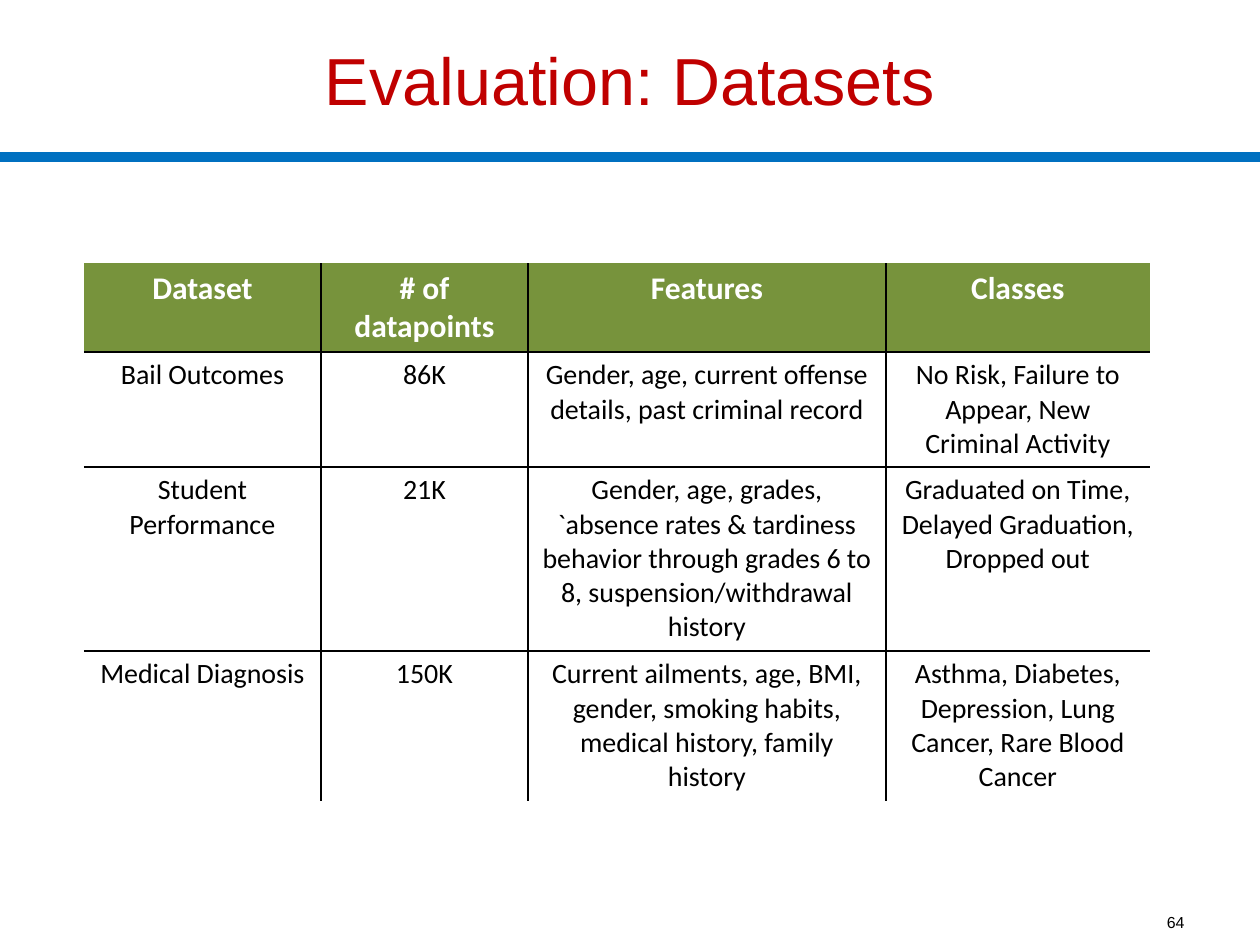
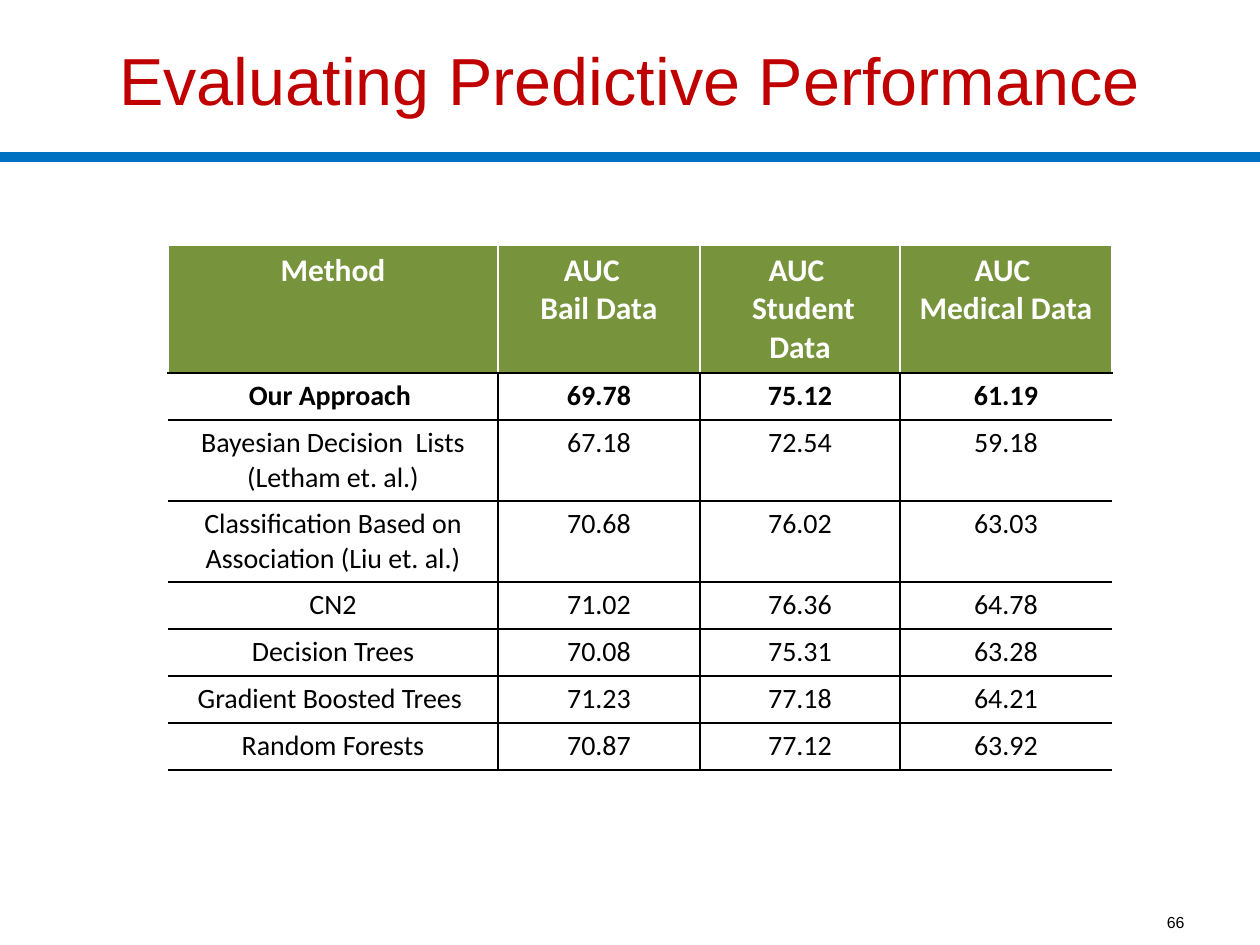
"""Build two evaluation slides, each with a title, a rule, a table and a page number."""
import pptx
import pptx.dml.color
import pptx.enum.shapes
import pptx.enum.text
import pptx.oxml
import pptx.oxml.ns
import pptx.util
from lxml import etree

SCALE = 914400 / 126
HUES = {"title": "C00000", "rule": "0070C0", "head": "77933C",
        "white": "FFFFFF", "black": "000000"}
ALIGN = pptx.enum.text.PP_ALIGN
qn = pptx.oxml.ns.qn


def px(count):
    return pptx.util.Emu(round(count * SCALE))


def style(frame, face, size, hue, align, bold=False):
    for para in frame.paragraphs:
        para.alignment = align
        for run in para.runs:
            run.font.name = face
            run.font.size = pptx.util.Pt(size)
            run.font.bold = bold
            run.font.color.rgb = pptx.dml.color.RGBColor.from_string(HUES[hue])


pages = [
    {"title": "Evaluation: Datasets", "page": "64", "left": 84, "top": 263,
     "cols": [237, 207, 358, 264], "heights": [89, 115, 184, 150],
     "rim": None, "split": "black", "foot": None, "bold": [0],
     "rows": [
         ["Dataset", "# of datapoints", "Features", "Classes"],
         ["Bail Outcomes", "86K",
          "Gender, age, current offense details, past criminal record",
          "No Risk, Failure to Appear, New Criminal Activity"],
         ["Student Performance", "21K",
          "Gender, age, grades, `absence rates & tardiness behavior "
          "through grades 6 to 8, suspension/withdrawal history",
          "Graduated on Time, Delayed Graduation, Dropped out"],
         ["Medical Diagnosis", "150K",
          "Current ailments, age, BMI, gender, smoking habits, "
          "medical history, family history",
          "Asthma, Diabetes, Depression, Lung Cancer, Rare Blood Cancer"]]},
    {"title": "Evaluating Predictive Performance", "page": "66",
     "left": 168, "top": 245,
     "cols": [330, 202, 200, 212],
     "heights": [128, 47, 81, 81, 47, 47, 47, 47],
     "rim": "white", "split": "white", "foot": "black", "bold": [0, 1],
     "rows": [
         ["Method", "AUC  \nBail Data", "AUC \n Student Data", "AUC \nMedical Data"],
         ["Our Approach ", "69.78", "75.12", "61.19"],
         ["Bayesian Decision  Lists (Letham et. al.)", "67.18", "72.54", "59.18"],
         ["Classification Based on Association (Liu et. al.)",
          "70.68", "76.02", "63.03"],
         ["CN2", "71.02", "76.36", "64.78"],
         ["Decision Trees", "70.08", "75.31", "63.28"],
         ["Gradient Boosted Trees ", "71.23", "77.18", "64.21"],
         ["Random Forests", "70.87", "77.12", "63.92"]]},
]

deck = pptx.Presentation()
deck.slide_width, deck.slide_height = px(1260), px(945)

for page in pages:
    slide = deck.slides.add_slide(deck.slide_layouts[6])
    rule = slide.shapes.add_connector(
        pptx.enum.shapes.MSO_CONNECTOR.STRAIGHT, 0, px(157), px(1260), px(157))
    rule.line.width = pptx.util.Pt(6)
    rule.line.color.rgb = pptx.dml.color.RGBColor.from_string(HUES["rule"])
    etree.SubElement(rule._element.spPr, qn("a:effectLst"))

    for text, box, size, hue, align in [
            (page["title"], (0, 0, 1260, 157), 38, "title", ALIGN.CENTER),
            (page["page"], (903, 911, 294, 23), 9.1, "black", ALIGN.RIGHT)]:
        frame = slide.shapes.add_textbox(*map(px, box)).text_frame
        frame.word_wrap = True
        frame.vertical_anchor = pptx.enum.text.MSO_ANCHOR.MIDDLE
        frame.margin_top = frame.margin_bottom = 0
        frame.text = text
        style(frame, "Arial", size, hue, align)

    rows, cols = page["rows"], page["cols"]
    table = slide.shapes.add_table(
        len(rows), len(cols), px(page["left"]), px(page["top"]),
        px(sum(cols)), px(sum(page["heights"]))).table
    table.first_row = table.horz_banding = False
    for col, width in enumerate(cols):
        table.columns[col].width = px(width)
    for row, texts in enumerate(rows):
        table.rows[row].height = px(page["heights"][row])
        head = row == 0
        inner = page["split"] if head else "black"
        outer = page["rim"] if head else None
        for col, text in enumerate(texts):
            cell = table.cell(row, col)
            cell.text = text
            style(cell.text_frame, "Calibri", 18 if head else 16,
                  "white" if head else "black", ALIGN.CENTER, row in page["bold"])
            sides = {"L": inner if col else outer,
                     "R": inner if col < len(cols) - 1 else outer,
                     "T": outer if head else "black",
                     "B": "black" if row < len(rows) - 1 else page["foot"]}
            props = cell._tc.get_or_add_tcPr()
            for side, hue in sides.items():
                line = etree.SubElement(props, qn("a:ln" + side), w="12700")
                if hue:
                    fill = etree.SubElement(line, qn("a:solidFill"))
                    etree.SubElement(fill, qn("a:srgbClr"), val=HUES[hue])
                else:
                    etree.SubElement(line, qn("a:noFill"))
            cell.fill.solid()
            cell.fill.fore_color.rgb = pptx.dml.color.RGBColor.from_string(
                HUES["head" if head else "white"])

deck.save("out.pptx")
